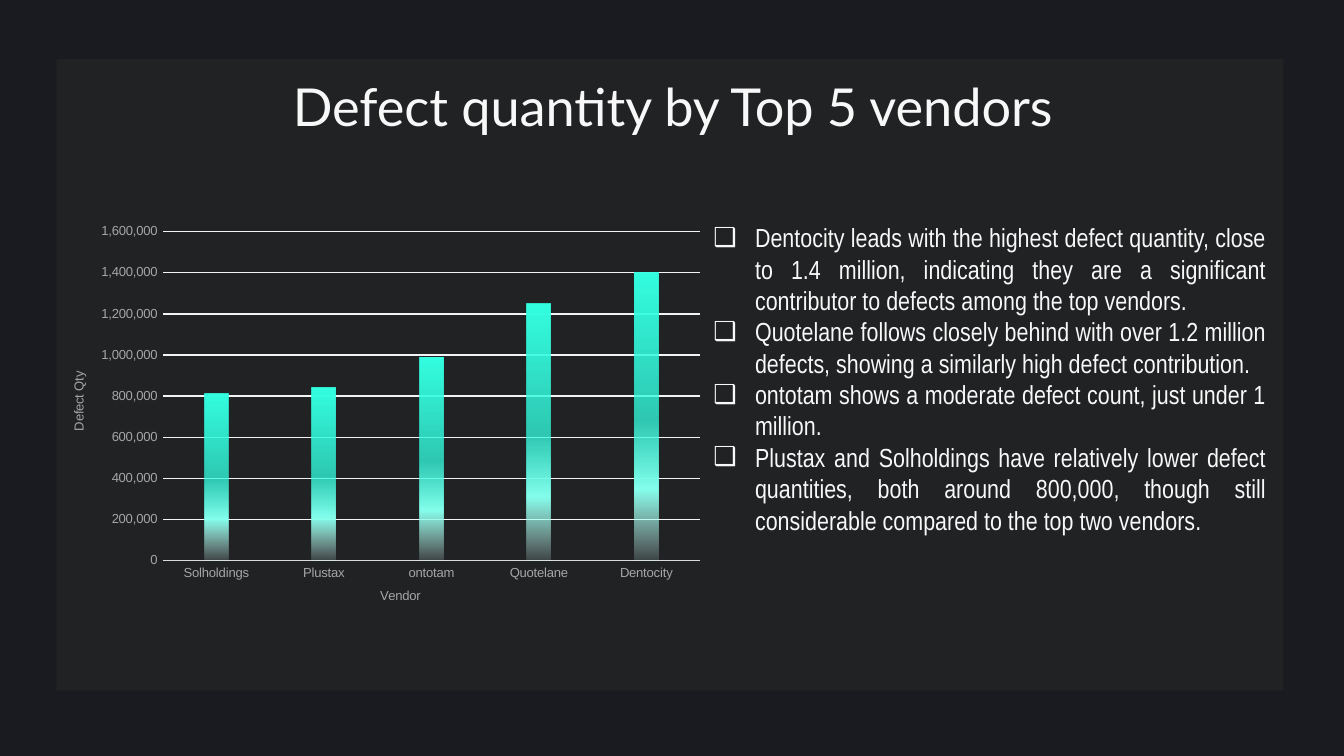
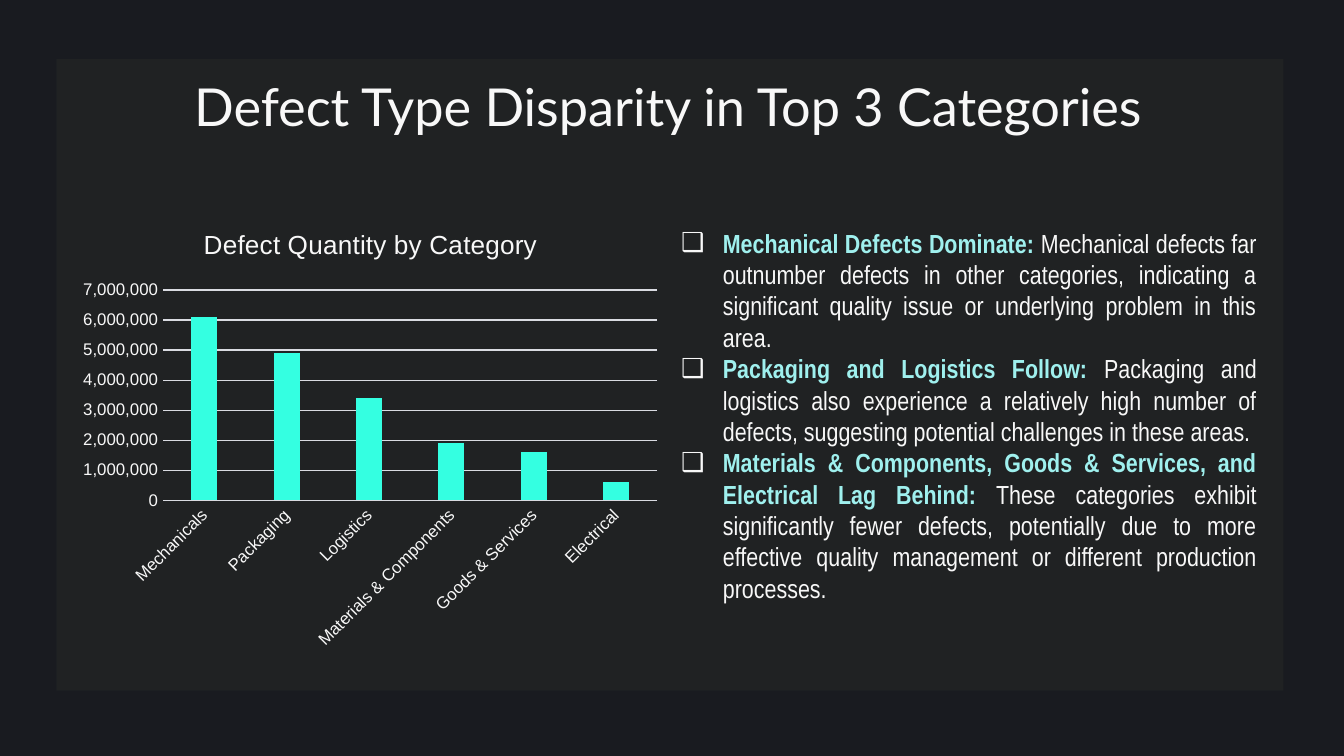
import pptx
import pptx.chart.data
import pptx.dml.color
import pptx.enum.chart
import pptx.enum.shapes
import pptx.enum.text
import pptx.oxml
import pptx.oxml.ns
import pptx.util
from pptx.util import Inches

qn = pptx.oxml.ns.qn
nsdecls = pptx.oxml.ns.nsdecls

BACKDROP = "191B20"
PANEL = "222525"
WHITE = "F8F8F8"
GRAY = "A6A6A6"
RULE = "D9DBE1"
PALE_RULE = "F2F3F5"
TEAL = "34FFE1"
LEAD = "9FF0EE"
FADE = [(0, TEAL, 100), (51, TEAL, 75), (75, "85FFED", 100), (100, "D6FFF9", 15)]


def rgb(value):
    return pptx.dml.color.RGBColor.from_string(value)


def set_font(font, size, color, face="Arial", bold=False):
    font.size = pptx.util.Pt(size)
    font.color.rgb = rgb(color)
    font.name = face
    font.bold = bold


def write(paragraph, text, **style):
    run = paragraph.add_run()
    run.text = text
    set_font(run.font, **style)


def add_alpha(color_element, percent):
    alpha = pptx.oxml.parse_xml(f'<a:alpha {nsdecls("a")} val="{percent * 1000}"/>')
    color_element.append(alpha)


def place(element, **fractions):
    automatic = element.find(qn("c:layout"))
    if automatic is not None:
        element.remove(automatic)
    target = '<c:layoutTarget val="inner"/>' if "w" in fractions else ""
    modes = "".join(f'<c:{side}Mode val="edge"/>' for side in "xy")
    values = "".join(f'<c:{key} val="{value}"/>' for key, value in fractions.items())
    layout = pptx.oxml.parse_xml(
        f'<c:layout {nsdecls("c")}><c:manualLayout>{target}{modes}{values}'
        "</c:manualLayout></c:layout>"
    )
    element.insert(0 if element.find(qn("c:tx")) is None else 1, layout)


class Deck:
    def __init__(self):
        self.presentation = pptx.Presentation()
        self.presentation.slide_width = Inches(10)
        self.presentation.slide_height = Inches(10) * 9 // 16
        self.slide = None

    def start_slide(self, title, left, width, height):
        self.slide = self.presentation.slides.add_slide(self.presentation.slide_layouts[6])
        backdrop = self.slide.background.fill
        backdrop.solid()
        backdrop.fore_color.rgb = rgb(BACKDROP)
        self.panel()
        self.title(title, left, width, height)

    def panel(self):
        panel = self.slide.shapes.add_shape(
            pptx.enum.shapes.MSO_SHAPE.RECTANGLE,
            Inches(0.42), Inches(0.44), Inches(9.13), Inches(4.7),
        )
        panel.shadow.inherit = False
        panel.fill.solid()
        panel.fill.fore_color.rgb = rgb(PANEL)
        add_alpha(panel._element.spPr.find(f".//{qn('a:srgbClr')}"), 78)
        panel.line.fill.background()

    def text_frame(self, left, top, width, height):
        box = self.slide.shapes.add_textbox(
            Inches(left), Inches(top), Inches(width), Inches(height)
        )
        box.text_frame.word_wrap = True
        return box.text_frame

    def title(self, text, left, width, height):
        frame = self.text_frame(left, 0.45, width, height)
        frame.margin_top = frame.margin_bottom = Inches(0.1)
        heading = frame.paragraphs[0]
        heading.alignment = pptx.enum.text.PP_ALIGN.CENTER
        write(heading, text, size=28, color=WHITE, face="Lato")

    def findings(self, items, left, top, width):
        frame = self.text_frame(left, top, width, 3.16)
        frame.auto_size = pptx.enum.text.MSO_AUTO_SIZE.SHAPE_TO_FIT_TEXT
        for index, (lead, detail) in enumerate(items):
            finding = frame.add_paragraph() if index else frame.paragraphs[0]
            finding.alignment = pptx.enum.text.PP_ALIGN.JUSTIFY
            self.bullet(finding)
            if lead:
                write(finding, lead, size=14, color=LEAD, face="Arial Narrow", bold=True)
            write(finding, detail, size=14, color=WHITE, face="Arial Narrow")

    def bullet(self, paragraph):
        properties = paragraph._p.get_or_add_pPr()
        properties.set("marL", str(Inches(0.31)))
        properties.set("indent", str(-Inches(0.31)))
        for markup in (
            f'<a:buClr {nsdecls("a")}><a:srgbClr val="{WHITE}"/></a:buClr>',
            f'<a:buFont {nsdecls("a")} typeface="Arial"/>',
            f'<a:buChar {nsdecls("a")} char="❑"/>',
        ):
            properties.append(pptx.oxml.parse_xml(markup))

    def columns(self, quantities, box, plot_area, top_value, step, size, color,
                grid, gap, overlap):
        data = pptx.chart.data.CategoryChartData(number_format="#,##0")
        data.categories = list(quantities)
        data.add_series("Series 1", list(quantities.values()))
        chart = self.slide.shapes.add_chart(
            pptx.enum.chart.XL_CHART_TYPE.COLUMN_CLUSTERED,
            *(Inches(length) for length in box), data,
        ).chart
        chart.has_legend = False
        chart.has_title = False
        set_font(chart.font, size, color)
        plot = chart.plots[0]
        plot.vary_by_categories = False
        plot.gap_width = gap
        plot.overlap = overlap
        place(chart._chartSpace.chart.plotArea, **plot_area)
        for axis in (chart.category_axis, chart.value_axis):
            axis.major_tick_mark = axis.minor_tick_mark = pptx.enum.chart.XL_TICK_MARK.NONE
            set_font(axis.tick_labels.font, size, color)
        self.rule(chart.category_axis.format.line, RULE)
        values = chart.value_axis
        values.minimum_scale = 0
        values.maximum_scale = top_value
        values.major_unit = step
        values.tick_labels.number_format = "#,##0"
        values.tick_labels.number_format_is_linked = False
        values.format.line.fill.background()
        self.rule(values.major_gridlines.format.line, grid)
        bars = plot.series[0]
        bars.invert_if_negative = False
        bars.format.fill.solid()
        bars.format.fill.fore_color.rgb = rgb(TEAL)
        return chart

    def rule(self, line, color):
        line.color.rgb = rgb(color)
        line.width = pptx.util.Pt(0.75)

    def fade(self, series, stops):
        stop_markup = "".join(
            f'<a:gs pos="{position * 1000}"><a:srgbClr val="{color}">'
            f'<a:alpha val="{opacity * 1000}"/></a:srgbClr></a:gs>'
            for position, color, opacity in stops
        )
        gradient = pptx.oxml.parse_xml(
            f'<a:gradFill {nsdecls("a")}><a:gsLst>{stop_markup}</a:gsLst>'
            '<a:lin ang="5400000" scaled="0"/></a:gradFill>'
        )
        properties = series._element.get_or_add_spPr()
        properties.replace(properties.find(qn("a:solidFill")), gradient)

    def caption(self, caption, text, x, y, size, color, rotation=0):
        frame = caption.text_frame
        write(frame.paragraphs[0], text, size=size, color=color)
        if rotation:
            frame._txBody.bodyPr.set("rot", str(rotation * 60000))
            frame._txBody.bodyPr.set("vert", "horz")
        place(caption._element, x=x, y=y)


def vendor_slide(deck):
    deck.start_slide("Defect quantity by Top 5 vendors", 0.79, 8.43, 0.63)
    deck.findings(
        [
            ("", "Dentocity leads with the highest defect quantity, close to 1.4 million, "
                 "indicating they are a significant contributor to defects among the top vendors."),
            ("", "Quotelane follows closely behind with over 1.2 million defects, "
                 "showing a similarly high defect contribution."),
            ("", "ontotam shows a moderate defect count, just under 1 million."),
            ("", "Plustax and Solholdings have relatively lower defect quantities, both around "
                 "800,000, though still considerable compared to the top two vendors."),
        ],
        5.21, 1.6, 4.31,
    )
    chart = deck.columns(
        {"Solholdings": 810000, "Plustax": 840000, "ontotam": 990000,
         "Quotelane": 1250000, "Dentocity": 1400000},
        box=(0.31, 1.6, 5, 3.1),
        plot_area={"x": 0.18, "y": 0.04, "w": 0.8, "h": 0.79},
        top_value=1600000, step=200000, size=7, color=GRAY,
        grid=PALE_RULE, gap=355, overlap=-70,
    )
    deck.fade(chart.plots[0].series[0], FADE)
    deck.caption(chart.category_axis.axis_title, "Vendor", 0.5, 0.89, 7, GRAY)
    deck.caption(chart.value_axis.axis_title, "Defect Qty", 0.04, 0.37, 7, GRAY, rotation=-90)


def category_slide(deck):
    deck.start_slide("Defect Type Disparity in Top 3 Categories", 0.4, 9.14, 1.02)
    deck.findings(
        [
            ("Mechanical Defects Dominate: ",
             "Mechanical defects far outnumber defects in other categories, indicating "
             "a significant quality issue or underlying problem in this area."),
            ("Packaging and Logistics Follow: ",
             "Packaging and logistics also experience a relatively high number of defects, "
             "suggesting potential challenges in these areas."),
            ("Materials & Components, Goods & Services, and Electrical Lag Behind:",
             " These categories exhibit significantly fewer defects, potentially due to more "
             "effective quality management or different production processes."),
        ],
        4.97, 1.64, 4.48,
    )
    chart = deck.columns(
        {"Mechanicals": 6100000, "Packaging": 4900000, "Logistics": 3400000,
         "Materials & Components": 1900000, "Goods & Services": 1600000,
         "Electrical": 600000},
        box=(0.55, 1.56, 4.43, 3.33),
        plot_area={"x": 0.15, "y": 0.18, "w": 0.83, "h": 0.47},
        top_value=7000000, step=1000000, size=9, color=WHITE,
        grid=RULE, gap=219, overlap=-27,
    )
    chart.category_axis._element.txPr.bodyPr.set("rot", str(-45 * 60000))
    deck.caption(chart.chart_title, "Defect Quantity by Category", 0.21, 0.03, 14, WHITE)


def main():
    deck = Deck()
    vendor_slide(deck)
    category_slide(deck)
    deck.presentation.save("out.pptx")


if __name__ == "__main__":
    main()
